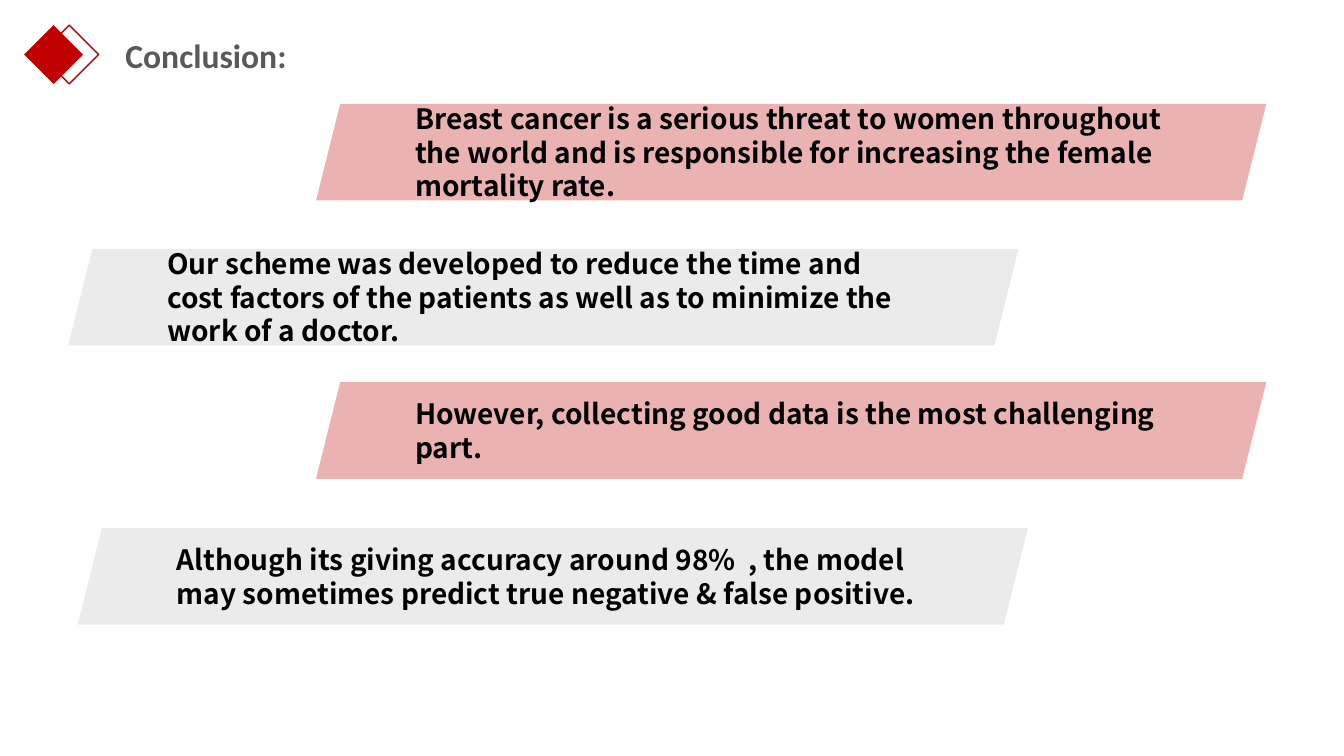
from dataclasses import dataclass

from pptx import Presentation
from pptx import util as u
from pptx.dml.color import RGBColor
from pptx.enum import shapes, text
from pptx.oxml.ns import qn
from lxml import etree

EMU_PER_PX = 9525
COLORS = {
    "red": "C00000",
    "grey": "BFBFBF",
    "title": "595959",
    "text": "000000",
}
BANNER_WIDTH, BANNER_HEIGHT = 905, 92
BANNER_ALPHA = 30
DIAMOND_SIZE = 56


@dataclass(frozen=True)
class Banner:
    left: int
    top: int
    color: str
    words: str


BANNERS = [
    Banner(301, 99, "red", "Breast cancer is a serious threat to women throughout "
           "the world and is responsible for increasing the female mortality rate."),
    Banner(65, 237, "grey", "Our scheme was developed to reduce the time and cost "
           "factors of the patients as well as to minimize the work of a doctor."),
    Banner(301, 364, "red", "However, collecting good data is the most challenging part."),
    Banner(74, 503, "grey", "Although its giving accuracy around 98%  , the model may "
           "sometimes predict true negative & false positive."),
]


def px(*lengths: int) -> list[u.Emu]:
    return [u.Emu(length * EMU_PER_PX) for length in lengths]


def rgb(name: str) -> RGBColor:
    return RGBColor.from_string(COLORS[name])


def write(box, words: str, font: str, size: int, color: str):
    """Put one bold, left-aligned, vertically centred paragraph in the box."""
    frame = box.text_frame
    frame.word_wrap = True
    frame.vertical_anchor = text.MSO_ANCHOR.MIDDLE
    para = frame.paragraphs[0]
    para.alignment = text.PP_ALIGN.LEFT
    span = para.add_run()
    span.text = words
    span.font.name = font
    span.font.size = u.Pt(size)
    span.font.bold = True
    span.font.color.rgb = rgb(color)
    return para


def add_diamonds(page) -> None:
    """Draw a filled diamond with an outlined one shifted to its right."""
    group = page.shapes.add_group_shape()
    for left, filled in ((23, True), (38, False)):
        diamond = group.shapes.add_shape(
            shapes.MSO_SHAPE.DIAMOND, *px(left, 24, DIAMOND_SIZE, DIAMOND_SIZE))
        diamond.shadow.inherit = False
        if filled:
            diamond.fill.solid()
            diamond.fill.fore_color.rgb = rgb("red")
            diamond.line.fill.background()
        else:
            diamond.fill.background()
            diamond.line.color.rgb = rgb("red")
            diamond.line.width = u.Pt(1)


def add_banner(page, banner: Banner) -> None:
    box = page.shapes.add_shape(
        shapes.MSO_SHAPE.PARALLELOGRAM,
        *px(banner.left, banner.top, BANNER_WIDTH, BANNER_HEIGHT))
    box.shadow.inherit = False
    box.line.fill.background()
    box.fill.solid()
    box.fill.fore_color.rgb = rgb(banner.color)
    color = box._element.spPr.find(qn("a:solidFill")).find(qn("a:srgbClr"))
    etree.SubElement(color, qn("a:alpha"), val=str(BANNER_ALPHA * 1000))
    para = write(box, banner.words, "Noto Sans CJK TC", 20, "text")
    para.line_spacing = u.Pt(24)


def main() -> None:
    deck = Presentation()
    deck.slide_width, deck.slide_height = px(1280, 720)
    page = deck.slides.add_slide(deck.slide_layouts[6])
    add_diamonds(page)
    title = page.shapes.add_textbox(*px(110, 31, 832, 43))
    write(title, "Conclusion:", "Calibri", 24, "title")
    for banner in BANNERS:
        add_banner(page, banner)
    deck.save("out.pptx")


if __name__ == "__main__":
    main()
